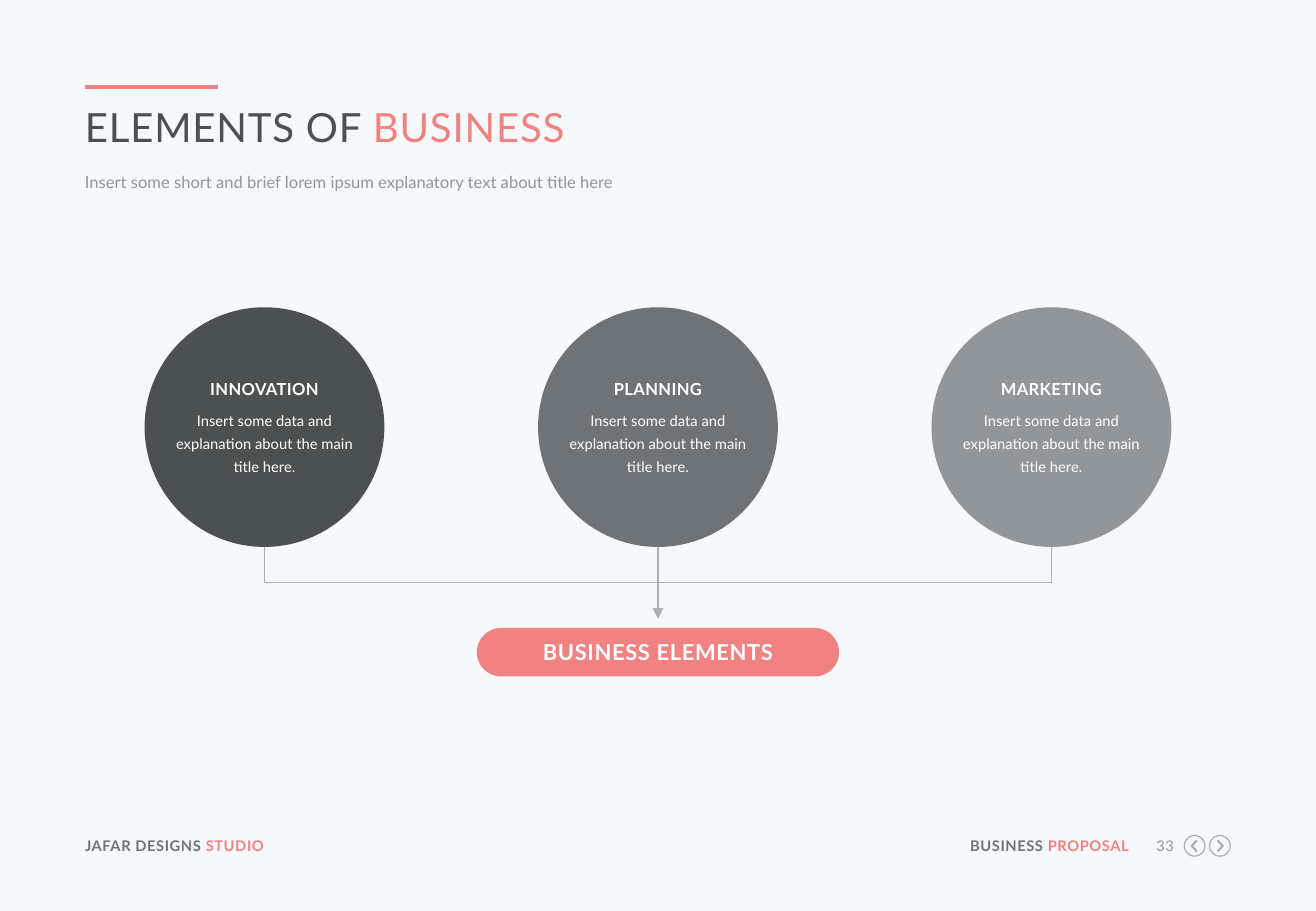
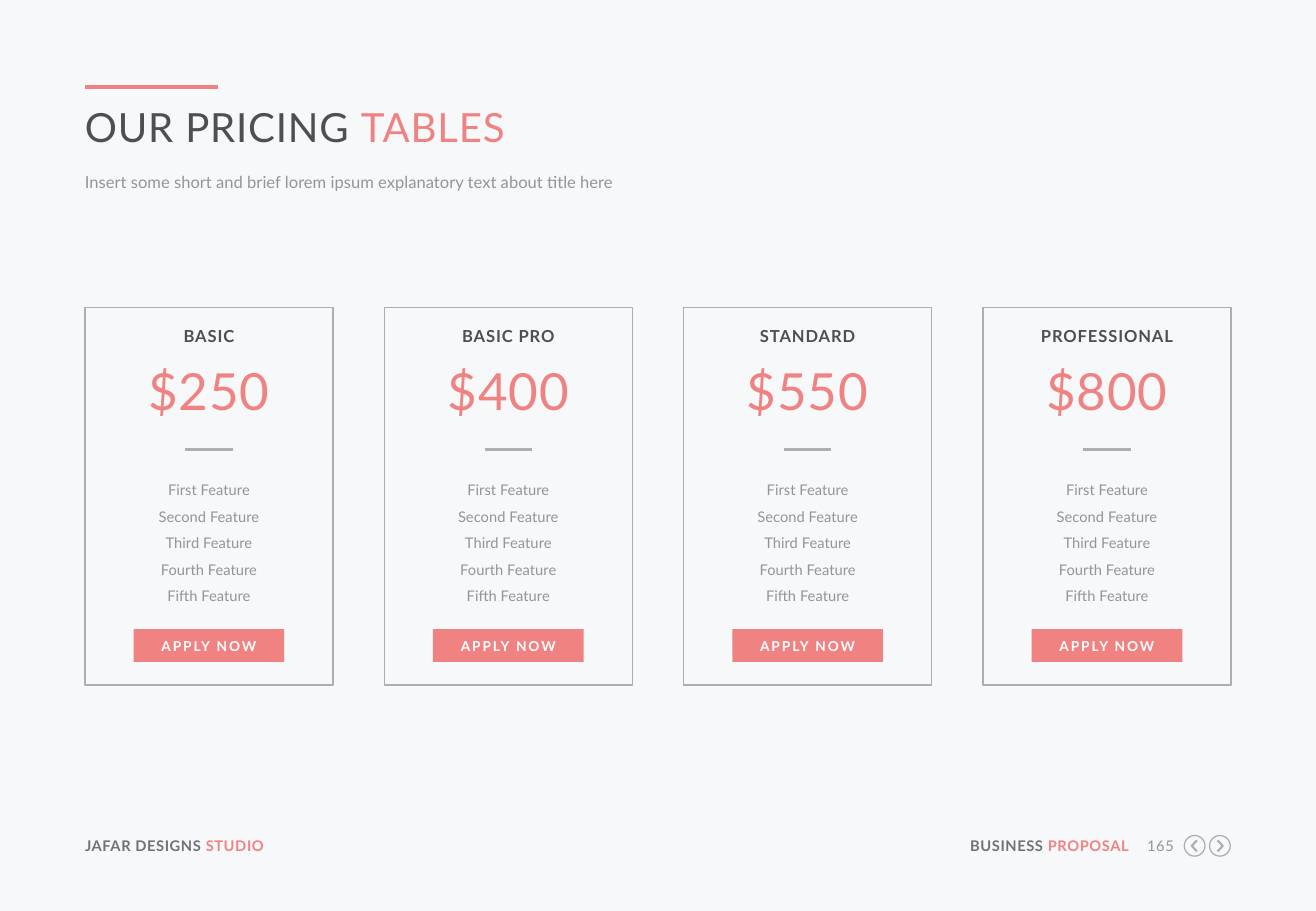
from lxml import etree
from pptx import Presentation
from pptx.dml.color import RGBColor
from pptx.enum.shapes import MSO_CONNECTOR, MSO_SHAPE
from pptx.enum.text import MSO_ANCHOR, PP_ALIGN
from pptx.oxml.ns import qn
from pptx.util import Inches, Pt

LEFT, MID, RIGHT = PP_ALIGN.LEFT, PP_ALIGN.CENTER, PP_ALIGN.RIGHT
MIDDLE = MSO_ANCHOR.MIDDLE
RECT, OVAL, PILL = MSO_SHAPE.RECTANGLE, MSO_SHAPE.OVAL, MSO_SHAPE.ROUNDED_RECTANGLE
STRAIGHT, ELBOW = MSO_CONNECTOR.STRAIGHT, MSO_CONNECTOR.ELBOW

COLORS = {"back": "F6F8FA", "coral": "F08282", "dark": "4B5050", "slate": "6E7378",
          "gray": "91969B", "pale": "AAAFB4", "white": "FFFFFF"}
FONT = "Lato"
WIDE, HIGH = 10.83, 7.5

# The grid has 100 columns and 100 rows on every slide
EDGE = 6.46
SPAN = 100 - 2 * EDGE
TOP = 33.73


def color(name):
    return RGBColor.from_string(COLORS[name])


def across(col):
    return Inches(col * WIDE / 100)


def down(row):
    return Inches(row * HIGH / 100)


class Deck:
    def __init__(self):
        self.prs = Presentation()
        self.prs.slide_width, self.prs.slide_height = Inches(WIDE), Inches(HIGH)
        fill = self.prs.slide_master.background.fill
        fill.solid()
        fill.fore_color.rgb = color("back")

    def start(self, lead, accent, page):
        """Add a slide with the shared heading and footer."""
        self.slide = self.prs.slides.add_slide(self.prs.slide_layouts[6])
        self.shapes = self.slide.shapes
        self.line((EDGE, 9.55), (16.53, 9.55), "coral", 2.25)
        self.text((EDGE, 11.2, SPAN, 5.47), [[(lead, "dark"), (accent, "coral")]],
                  23.8, LEFT, track=0.5)
        note = "Insert some short and brief lorem ipsum explanatory text about title here"
        self.text((EDGE, 18.67, SPAN, 2.8), [[(note, "gray")]], 9.8, LEFT, lead=Pt(13))
        # Footer
        row, tall = 91.87, 2
        for col, wide, side, first, last in (
                (EDGE, 19.48, LEFT, "JAFAR DESIGNS ", "STUDIO"),
                (73.13, 12.65, RIGHT, "BUSINESS ", "PROPOSAL")):
            self.text((col, row, wide, tall), [[(first, "slate"), (last, "coral")]],
                      8.7, side, bold=True, track=0.3)
        self.text((86.89, row, 2.31, tall), [[(str(page), "gray")]], 8.7, RIGHT, track=0.3)
        self.button(90.78, -1)
        self.button(92.7, 1)

    def paint(self, shape, fill=None, line=None, weight=0.75):
        shape.shadow.inherit = False
        if fill:
            shape.fill.solid()
            shape.fill.fore_color.rgb = color(fill)
        else:
            shape.fill.background()
        if line:
            shape.line.color.rgb = color(line)
            shape.line.width = Pt(weight)
        else:
            shape.line.fill.background()

    def shape(self, kind, box, fill=None, line=None):
        col, row, wide, tall = box
        item = self.shapes.add_shape(kind, across(col), down(row), across(wide), down(tall))
        self.paint(item, fill, line)
        return item

    def button(self, mid, way):
        """Draw a ringed chevron; way is -1 for back and 1 for next."""
        row, size = 92.85, 1.57
        tall = size * WIDE / HIGH
        self.shape(OVAL, (mid - size / 2, row - tall / 2, size, tall), line="pale")
        back, tip = mid - 0.18 * way, mid + 0.22 * way
        pen = self.shapes.build_freeform(across(back), down(row - 0.6))
        pen.add_line_segments([(across(tip), down(row)), (across(back), down(row + 0.6))],
                              close=False)
        self.paint(pen.convert_to_shape(), line="pale", weight=1.25)

    def line(self, start, end, hue, weight, kind=STRAIGHT, arrow=False):
        (x1, y1), (x2, y2) = start, end
        item = self.shapes.add_connector(kind, across(x1), down(y1), across(x2), down(y2))
        item.line.color.rgb = color(hue)
        item.line.width = Pt(weight)
        props = item.element.spPr
        if arrow:
            etree.SubElement(props.find(qn("a:ln")), qn("a:tailEnd"), type="triangle")
        etree.SubElement(props, qn("a:effectLst"))
        return item

    def drop(self, start, end):
        """Draw an elbow arrow that leaves downwards: a turned box about the same centre."""
        item = self.line(start, end, "pale", 0.75, ELBOW, True)
        wide, tall = item.width, item.height
        item.left += (wide - tall) // 2
        item.top += (tall - wide) // 2
        item.width, item.height = tall, wide
        frame = item.element.spPr.find(qn("a:xfrm"))
        right = end[0] > start[0]
        frame.set("rot", str((270 if right else 90) * 60000))
        frame.set("flipH", "1" if right else "0")

    def text(self, box, paras, *style, **more):
        col, row, wide, tall = box
        item = self.shapes.add_textbox(across(col), down(row), across(wide), down(tall))
        self.put(item, paras, *style, **more)

    def put(self, item, paras, size, align=MID, bold=False, track=0, lead=None):
        """Fill an item with paragraphs, each a list of (words, colour) runs."""
        frame = item.text_frame
        frame.word_wrap = True
        frame.margin_left = frame.margin_right = frame.margin_top = frame.margin_bottom = 0
        for i, runs in enumerate(paras):
            para = frame.paragraphs[0] if i == 0 else frame.add_paragraph()
            para.alignment = align
            if lead:
                para.line_spacing = lead
            for words, hue in runs:
                run = para.add_run()
                run.text = words
                run.font.name, run.font.size, run.font.bold = FONT, Pt(size), bold
                run.font.color.rgb = color(hue)
        if track:
            for props in item.element.iter(qn("a:rPr")):
                props.set("spc", str(round(track * 100)))

    def label(self, kind, box, words, size, track):
        """Draw a coral shape with bold white words in its middle."""
        item = self.shape(kind, box, "coral")
        self.put(item, [[(words, "white")]], size, bold=True, track=track)
        item.text_frame.vertical_anchor = MIDDLE
        return item


def elements(deck):
    deck.start("ELEMENTS OF ", "BUSINESS", 33)
    size, step, wide = 18.22, 29.9, 14.31
    tall = size * WIDE / HIGH
    mids = [50 + step * i for i in (-1, 0, 1)]
    foot, tip = TOP + tall, (50, 67.87)
    # Arrows to the result
    deck.drop((mids[0], foot), tip)
    deck.drop((mids[2], foot), tip)
    deck.line((50, foot), tip, "pale", 0.75, arrow=True)
    # Circles
    body = "Insert some data and explanation about the main title here."
    parts = (("INNOVATION", "dark"), ("PLANNING", "slate"), ("MARKETING", "gray"))
    for mid, (name, hue) in zip(mids, parts):
        deck.shape(OVAL, (mid - size / 2, TOP, size, tall), hue)
        left = mid - wide / 2
        deck.text((left, 44.67, wide, 7.6), [[(body, "white")]], 8.7, lead=1.3)
        deck.text((left, 41.6, wide, 2.13), [[(name, "white")]], 9.8, bold=True, track=0.2)
    # Result
    pill = deck.label(PILL, (36.24, 68.93, 27.52, 5.33), "BUSINESS ELEMENTS", 13, 0.4)
    pill.adjustments[0] = 0.5


def pricing(deck):
    deck.start("OUR PRICING ", "TABLES", 165)
    plans = (("BASIC", 250), ("BASIC PRO", 400), ("STANDARD", 550), ("PROFESSIONAL", 800))
    perks = [[(f"{rank} Feature", "gray")]
             for rank in ("First", "Second", "Third", "Fourth", "Fifth")]
    card, wide, press = 18.84, 12.93, 11.45
    step = (SPAN - card) / (len(plans) - 1)
    for i, (name, price) in enumerate(plans):
        left = EDGE + step * i
        mid = left + card / 2
        inner = mid - wide / 2
        deck.shape(RECT, (left, TOP, card, 41.47), line="pale")
        deck.text((inner, 35.73, wide, 2.13), [[(name, "dark")]], 9.8, bold=True, track=0.5)
        deck.text((inner, 39.47, wide, 6.8), [[(f"${price}", "coral")]], 30.3, track=0.5)
        deck.line((mid - 1.8, 49.34), (mid + 1.8, 49.34), "pale", 1.5)
        deck.text((inner, 51.87, wide, 14.53), perks, 8.7, lead=1.5)
        deck.label(RECT, (mid - press / 2, 69.07, press, 3.6), "APPLY NOW", 8.1, 1.1)


def main():
    deck = Deck()
    elements(deck)
    pricing(deck)
    deck.prs.save("out.pptx")


if __name__ == "__main__":
    main()
